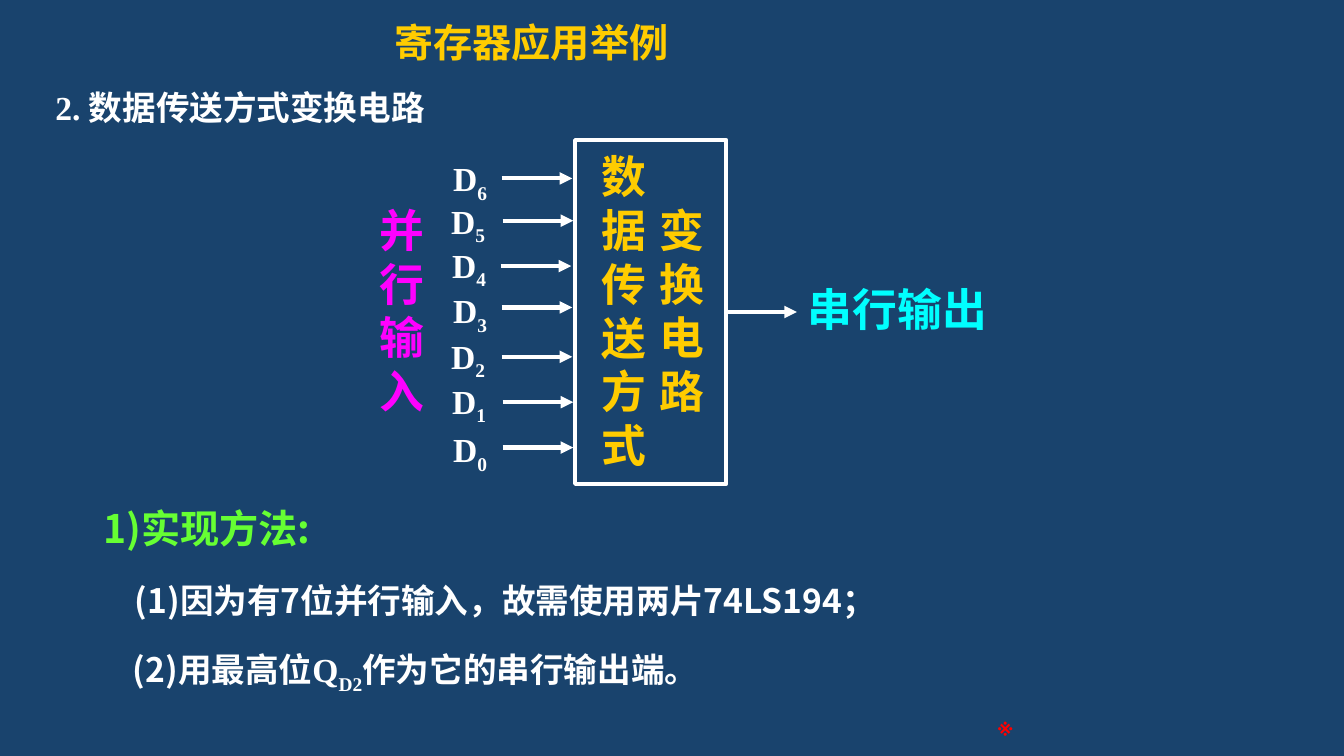
from lxml import etree
from pptx import Presentation
from pptx.dml.color import RGBColor
from pptx.enum import shapes, text
from pptx.oxml.ns import qn
from pptx.util import Inches, Pt

NAVY = RGBColor(0x19, 0x43, 0x6D)
WHITE = RGBColor(0xFF, 0xFF, 0xFF)
GOLD = RGBColor(0xFF, 0xCC, 0x00)
MAGENTA = RGBColor(0xFF, 0x00, 0xFF)
CYAN = RGBColor(0x00, 0xFF, 0xFF)
GREEN = RGBColor(0x66, 0xFF, 0x33)
RED = RGBColor(0xFF, 0x00, 0x00)
SERIF, SANS, TITLE = "Times New Roman", "Noto Sans CJK SC", "Montserrat"

deck = Presentation()
deck.slide_width, deck.slide_height = Inches(13.34), Inches(7.5)
page = deck.slides.add_slide(deck.slide_layouts[6])
page.background.fill.solid()
page.background.fill.fore_color.rgb = NAVY


def add_text(place, spans, size, color, wrap=True):
    """Each span is (words, font name, whether it is a subscript)."""
    box = page.shapes.add_textbox(*map(Inches, place))
    box.text_frame.word_wrap = wrap
    para = box.text_frame.paragraphs[0]
    for words, name, lowered in spans:
        span = para.add_run()
        span.text = words
        look = {"name": name, "size": Pt(size), "bold": True}
        for key, value in look.items():
            setattr(span.font, key, value)
        span.font.color.rgb = color
        properties = span.font._element
        etree.SubElement(properties, qn("a:ea")).set("typeface", SANS)
        if lowered:
            properties.set("baseline", "-25000")
    return box


def add_arrow(left, right, y):
    arrow = page.shapes.add_connector(
        shapes.MSO_CONNECTOR.STRAIGHT, Inches(left), Inches(y), Inches(right), Inches(y))
    arrow.line.color.rgb = WHITE
    arrow.line.width = Pt(3)
    etree.SubElement(arrow.line._get_or_add_ln(), qn("a:tailEnd")).set("type", "triangle")
    etree.SubElement(arrow._element.spPr, qn("a:effectLst"))
    return arrow


# Title and section heading
title = add_text((1.87, 0.13, 6.81, 0.57), [("寄存器应用举例", TITLE, False)], 28, GOLD)
title.text_frame.vertical_anchor = text.MSO_ANCHOR.MIDDLE
title.text_frame.paragraphs[0].alignment = text.PP_ALIGN.CENTER
add_text((0.45, 0.81, 5.65, 0.5), [("2. 数据传送方式变换电路", SERIF, False)], 24, WHITE)

# Converter block
block = page.shapes.add_shape(
    shapes.MSO_SHAPE.RECTANGLE, Inches(5.71), Inches(1.39), Inches(1.5), Inches(3.41))
block.shadow.inherit = False
block.fill.background()
block.line.color.rgb = WHITE
block.line.width = Pt(3)

# Parallel inputs: label left, label top, arrow start, arrow height
inputs = [
    ("6", 4.40, 1.52, 4.98, 1.77),
    ("5", 4.38, 1.94, 4.99, 2.19),
    ("4", 4.39, 2.38, 4.97, 2.64),
    ("3", 4.40, 2.83, 4.98, 3.05),
    ("2", 4.38, 3.28, 4.98, 3.54),
    ("1", 4.39, 3.73, 4.99, 3.99),
    ("0", 4.40, 4.21, 4.99, 4.44),
]
for bit, left, top, start, y in inputs:
    add_text((left, top, 0.73, 0.56), [("D", SERIF, False), (bit, SERIF, True)], 24, WHITE)
    add_arrow(start, start + 0.7, y)

# Serial output
output = add_arrow(7.21, 7.91, 3.1)
output.begin_connect(block, 3)
output.end_y = output.begin_y
add_text((7.92, 2.75, 2.14, 0.64), [("串行输出", SERIF, False)], 32, CYAN)

# Labels stacked one character to a line by their narrow boxes
stacked = [
    ("并行输入", (3.67, 1.96, 0.48, 2.24), MAGENTA),
    ("数据传送方式", (5.87, 1.43, 0.77, 3.3), GOLD),
    ("变换电路", (6.45, 1.96, 0.83, 2.24), GOLD),
]
for words, place, color in stacked:
    add_text(place, [(words, SERIF, False)], 32, color)

# Method
add_text((0.93, 4.95, 2.94, 0.57), [("1)实现方法:", SANS, False)], 28, GREEN)
add_text((1.24, 5.7, 8.57, 0.5),
         [("(1)因为有7位并行输入，故需使用两片74LS194；", SANS, False)], 24, WHITE)
add_text((1.22, 6.39, 6.61, 0.56),
         [("(2)用最高位", SANS, False), ("Q", SERIF, False), ("D2", SERIF, True),
          ("作为它的串行输出端。", SANS, False)], 24, WHITE)

# End mark
add_text((9.81, 7, 0.4, 0.4), [("※", SERIF, False)], 18, RED, wrap=False)

deck.save("out.pptx")
